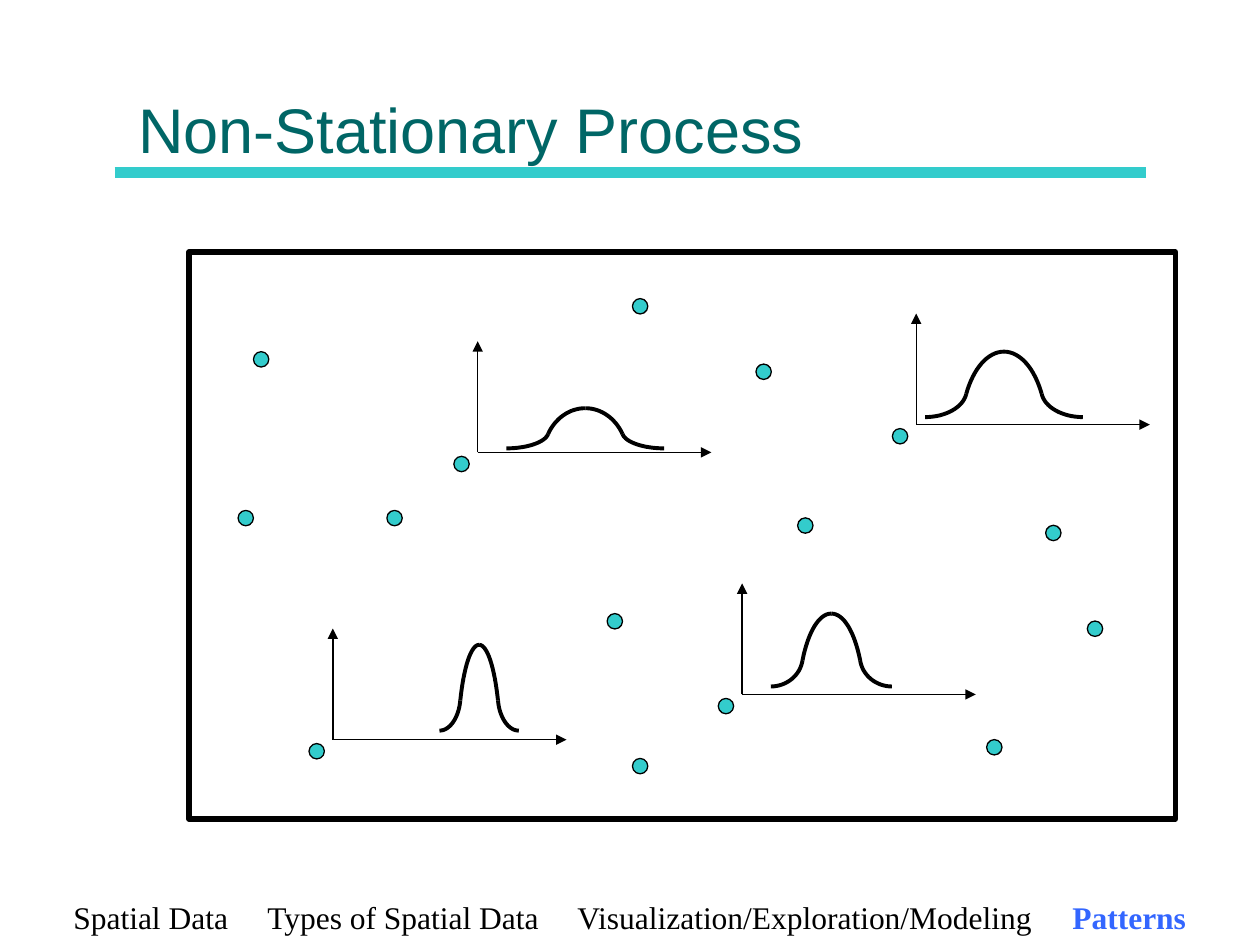
from lxml import etree
from pptx import Presentation
from pptx import util as u
from pptx.dml.color import RGBColor
from pptx.enum import shapes, text
from pptx.oxml.ns import qn

# All positions and lengths are in centimetres.
TITLE = "Non-Stationary Process"
SECTIONS = ["Spatial Data", "Types of Spatial Data",
            "Visualization/Exploration/Modeling", "Patterns"]
CURRENT_SECTION = "Patterns"
SECTION_TABS = [3.91, 10.16, 20.14]

FRAME = (3.81, 5.08, 19.89, 11.43)
DOT_SIZE = 0.31
DOTS = [(5.11, 7.09), (7.8, 10.29), (15.24, 7.34), (19.89, 14.91),
        (21.08, 10.59), (12.24, 12.37), (12.75, 15.29), (12.75, 6.02),
        (16.08, 10.44), (21.92, 12.52), (4.8, 10.29)]

AXIS_UP, AXIS_RIGHT = 2.24, 4.71
PLOT_DOT_OFFSET = (-0.48, 0.08)
# inner and outer are half widths at the shoulder and at the foot.
PLOTS = [
    dict(origin=(6.71, 14.91), centre=9.66, peak=13.0, shoulder=14.12,
         foot=14.73, inner=0.38, outer=0.8),
    dict(origin=(9.63, 9.12), centre=11.8, peak=8.23, shoulder=8.75,
         foot=9.04, inner=0.75, outer=1.59),
    dict(origin=(14.96, 14.0), centre=16.76, peak=12.37, shoulder=13.31,
         foot=13.84, inner=0.58, outer=1.22),
    dict(origin=(18.47, 8.56), centre=20.24, peak=7.09, shoulder=7.94,
         foot=8.41, inner=0.76, outer=1.59),
]

THEME = dict(
    title="006666", accent="33CCCC", ink="000000", current="3366FF",
    title_font="Arial", body_font="Times New Roman",
    title_size=36, body_size=18,
    rule=6, frame=3, curve=2.25, thin=0.75,
)


def set_line(shape, color, width):
    shape.line.color.rgb = RGBColor.from_string(THEME[color])
    shape.line.width = u.Pt(THEME[width])


def add_shape(page, kind, place, width, fill=None):
    shape = page.shapes.add_shape(kind, *map(u.Cm, place))
    shape.shadow.inherit = False
    if fill:
        shape.fill.solid()
        shape.fill.fore_color.rgb = RGBColor.from_string(THEME[fill])
    else:
        shape.fill.background()
    set_line(shape, "ink", width)


def add_dot(page, left, top):
    add_shape(page, shapes.MSO_SHAPE.OVAL,
              (left, top, DOT_SIZE, DOT_SIZE), "thin", "accent")


def add_line(page, start, end, color="ink", width="thin", arrow=False):
    line = page.shapes.add_connector(
        shapes.MSO_CONNECTOR.STRAIGHT, *map(u.Cm, (*start, *end)))
    set_line(line, color, width)
    if arrow:
        etree.SubElement(line.line._get_or_add_ln(), qn("a:tailEnd"),
                         type="triangle")
    etree.SubElement(line._element.spPr, qn("a:effectLst"))


def add_arc(page, start, end, pulls, steps=16):
    """Draw a cubic curve; pulls are the control points as fractions of its box."""
    corners = [(0, 0), *pulls, (1, 1)]
    points = []
    for step in range(steps + 1):
        t = step / steps
        weights = ((1 - t) ** 3, 3 * t * (1 - t) ** 2, 3 * t * t * (1 - t), t ** 3)
        points.append(tuple(
            u.Cm(start[axis] + (end[axis] - start[axis])
                 * sum(w * c[axis] for w, c in zip(weights, corners)))
            for axis in (0, 1)))
    builder = page.shapes.build_freeform(*points[0])
    builder.add_line_segments(points[1:], close=False)
    arc = builder.convert_to_shape()
    arc.shadow.inherit = False
    arc.fill.background()
    set_line(arc, "ink", "curve")
    return arc


def add_plot(page, origin, centre, peak, shoulder, foot, inner, outer):
    x, y = origin
    add_line(page, origin, (x, y - AXIS_UP), arrow=True)
    add_line(page, origin, (x + AXIS_RIGHT, y), arrow=True)
    arcs = []
    for side in (1, -1):
        joint = (centre + side * inner, shoulder)
        arcs.append(add_arc(page, (centre, peak), joint,
                            [(0.43, 0), (0.81, 0.4)]))
        arcs.append(add_arc(page, (centre + side * outer, foot), joint,
                            [(0.5, 0), (0.93, 0.43)]))
    page.shapes.add_group_shape(arcs)
    add_dot(page, x + PLOT_DOT_OFFSET[0], y + PLOT_DOT_OFFSET[1])


def add_text(page, place, spans, *, font, size, anchor, inset=0.25, tabs=()):
    """Add a one-paragraph box; spans are (words, color, bold)."""
    box = page.shapes.add_textbox(*map(u.Cm, place))
    frame = box.text_frame
    frame.word_wrap = True
    frame.vertical_anchor = anchor
    frame.margin_left = u.Cm(inset)
    para = frame.paragraphs[0]
    if tabs:
        stops = etree.SubElement(para._p.get_or_add_pPr(), qn("a:tabLst"))
        for tab in tabs:
            etree.SubElement(stops, qn("a:tab"), pos=str(u.Cm(tab)), algn="l")
    for words, color, bold in spans:
        span = para.add_run()
        span.text = words
        span.font.name = THEME[font]
        span.font.size = u.Pt(THEME[size])
        span.font.bold = bold
        span.font.color.rgb = RGBColor.from_string(THEME[color])


def main():
    deck = Presentation()
    deck.slide_width, deck.slide_height = u.Cm(25.4), u.Cm(19.05)
    page = deck.slides.add_slide(deck.slide_layouts[6])

    add_line(page, (2.31, 3.48), (23.11, 3.48), "accent", "rule")
    add_text(page, (2.54, 0.3, 20.32, 3.18), [(TITLE, "title", False)],
             font="title_font", size="title_size",
             anchor=text.MSO_ANCHOR.BOTTOM)

    add_shape(page, shapes.MSO_SHAPE.RECTANGLE, FRAME, "frame")
    for plot in PLOTS:
        add_plot(page, **plot)
    for dot in DOTS:
        add_dot(page, *dot)

    spans = []
    for index, name in enumerate(SECTIONS):
        current = name == CURRENT_SECTION
        spans.append(("\t" * (index > 0) + name,
                      "current" if current else "ink", current))
    add_text(page, (1.02, 17.98, 23.34, 1.78), spans, font="body_font",
             size="body_size", anchor=text.MSO_ANCHOR.TOP, inset=0.46,
             tabs=SECTION_TABS)
    deck.save("out.pptx")


if __name__ == "__main__":
    main()
